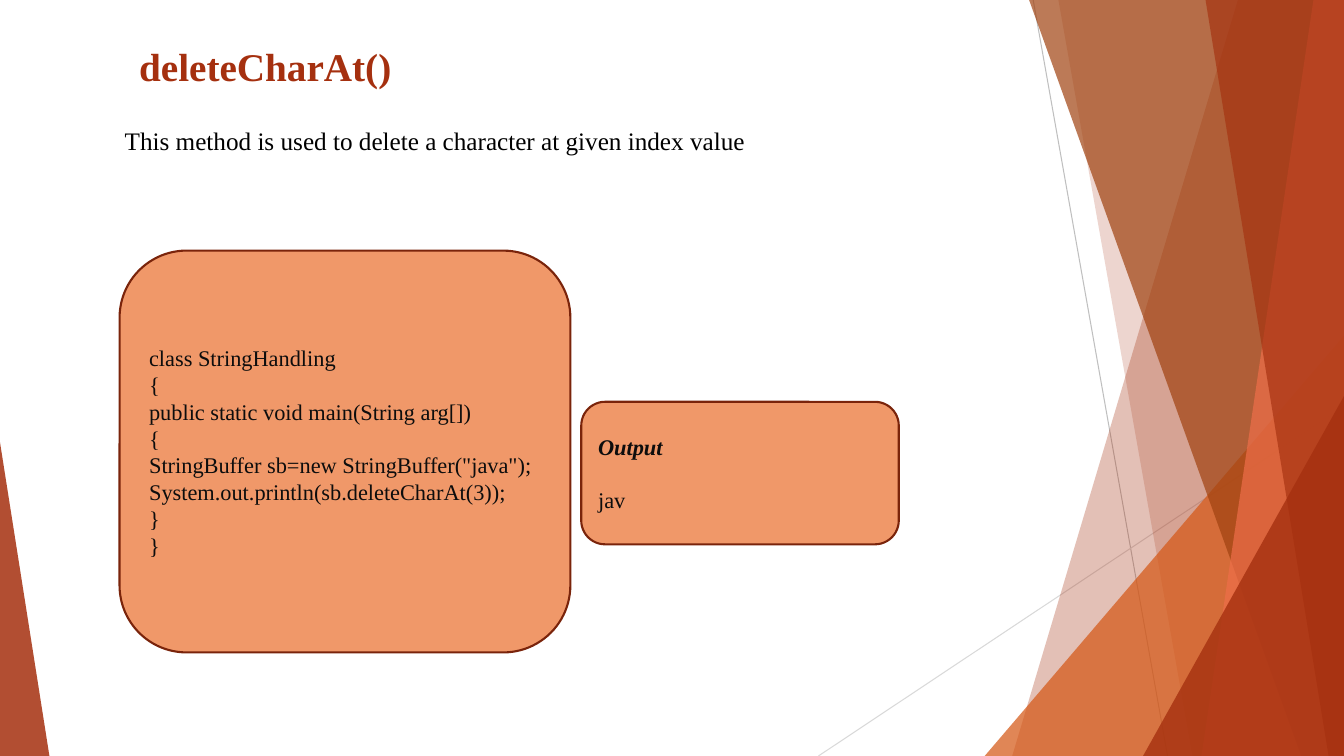
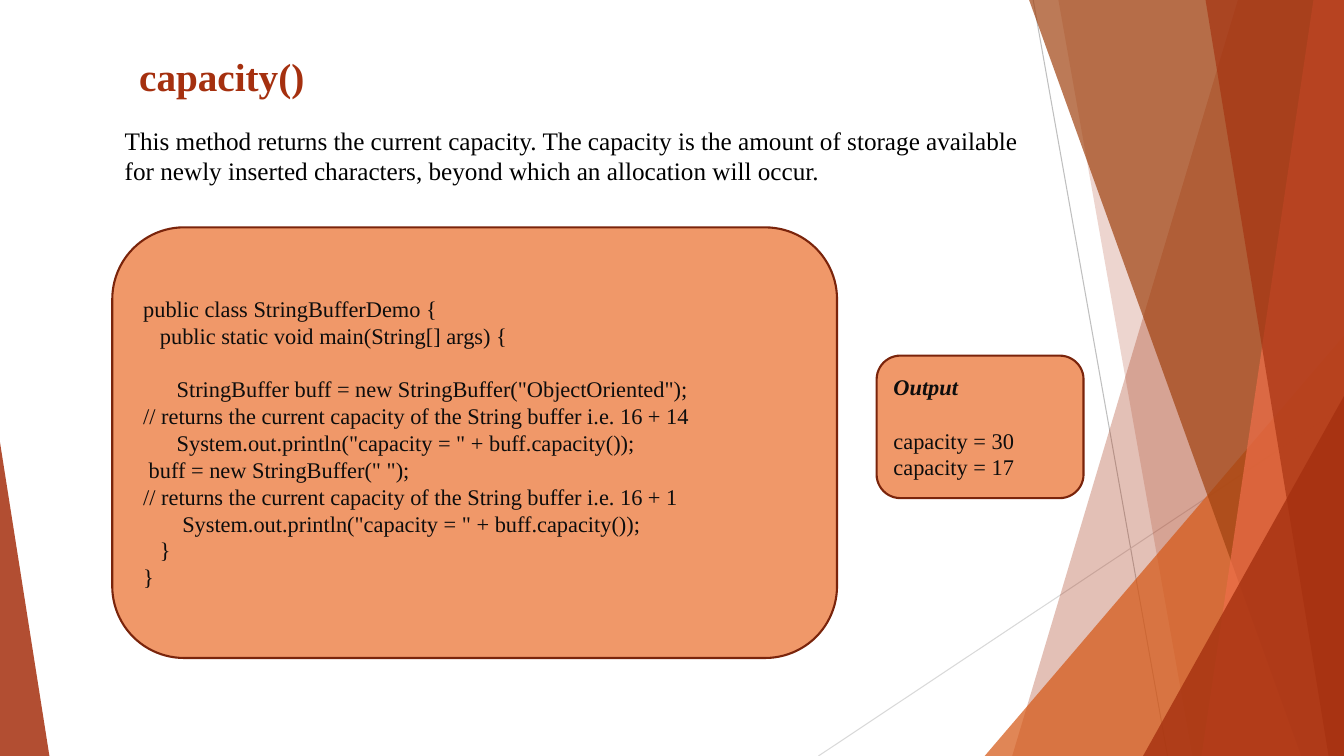
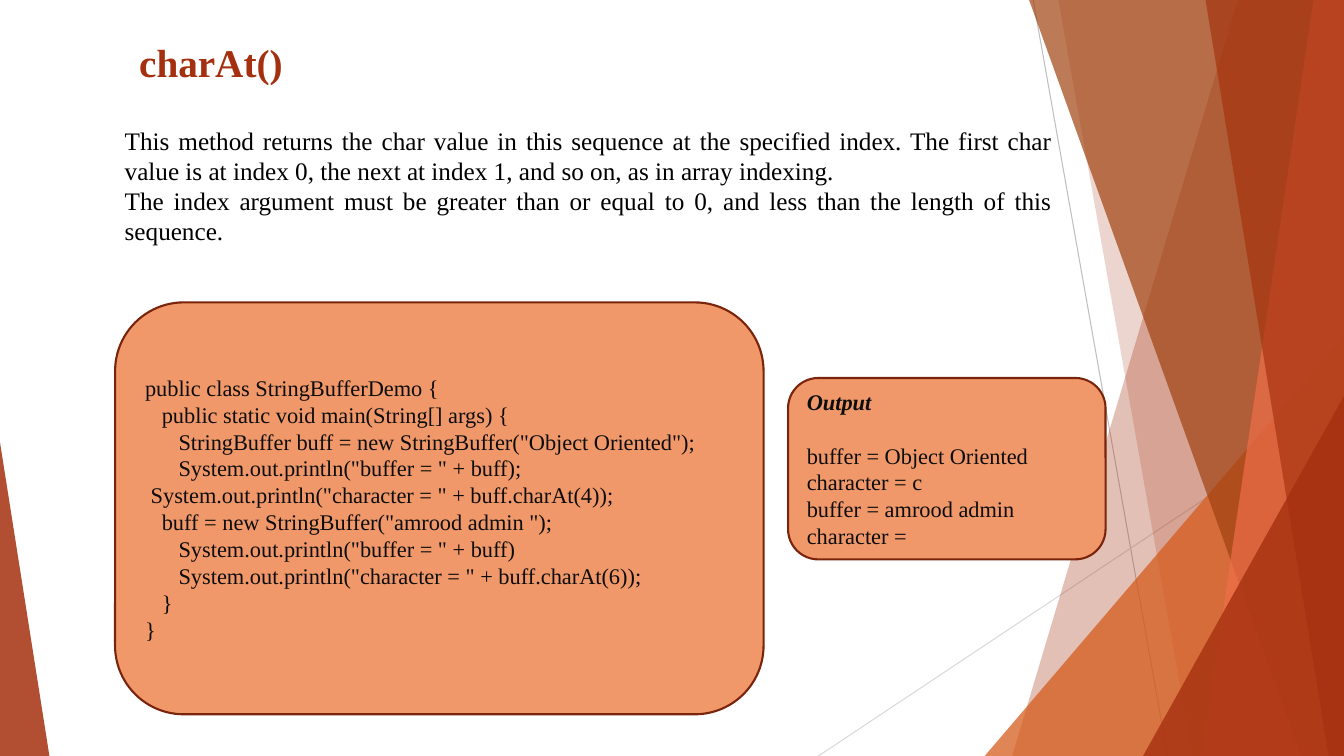
"""Build three slides about Java StringBuffer methods."""
import pptx
import pptx.dml.color
import pptx.enum.shapes
import pptx.enum.text
import pptx.oxml
import pptx.oxml.ns
import pptx.util
from lxml import etree

Pt = pptx.util.Pt
Shape = pptx.enum.shapes.MSO_SHAPE
Align = pptx.enum.text.PP_ALIGN
Anchor = pptx.enum.text.MSO_ANCHOR
AutoSize = pptx.enum.text.MSO_AUTO_SIZE
rgb = pptx.dml.color.RGBColor.from_string

FONT = "Times New Roman"
RUST = "A5300F"
WIDTH, HEIGHT = 960, 540
CODE_LINE = 19


def write(box, text, size=16, color="0D0D0D", bold=False, heading=False, align=Align.LEFT):
    """Write one paragraph per line; an empty line becomes space before the next."""
    frame = box.text_frame
    frame.word_wrap = True
    para, gap = frame.paragraphs[0], 0
    for number, line in enumerate(text.split("\n")):
        if not line:
            gap = CODE_LINE
            continue
        if number:
            para = frame.add_paragraph()
        para.alignment = align
        para.space_before = Pt(gap)
        gap = 0
        span = para.add_run()
        span.text = line
        span.font.name = FONT
        span.font.size = Pt(size)
        span.font.color.rgb = rgb(color)
        span.font.bold = bold or (heading and number == 0)
        span.font.italic = heading and number == 0


def paint(shape, color, opacity=100):
    """Give a shape a flat fill with the given opacity in percent."""
    shape.shadow.inherit = False
    shape.fill.solid()
    shape.fill.fore_color.rgb = rgb(color)
    if opacity < 100:
        fill = shape.element.spPr.find(pptx.oxml.ns.qn("a:solidFill"))
        etree.SubElement(fill[0], pptx.oxml.ns.qn("a:alpha"), val=str(opacity * 1000))


deck = pptx.Presentation()
deck.slide_width, deck.slide_height = Pt(WIDTH), Pt(HEIGHT)
layout = deck.slide_layouts[5]
for holder in list(layout.placeholders):
    if holder.placeholder_format.type != pptx.enum.shapes.PP_PLACEHOLDER.TITLE:
        layout.shapes.element.remove(holder.element)

lessons = [
    {
        "title": "deleteCharAt()",
        "title_top": 26.6,
        "title_height": 47.5,
        "about": "This method is used to delete a character at given index value",
        "about_height": 30,
        "align": Align.LEFT,
        "code_at": (85.4, 179, 322, 287),
        "code": """class StringHandling
{
public static void main(String arg[])
{
StringBuffer sb=new StringBuffer("java");
System.out.println(sb.deleteCharAt(3));
}
}""",
        "output_at": (415.2, 287, 226.8, 101.8),
        "output": "jav",
    },
    {
        "title": "capacity()",
        "title_top": 33.8,
        "title_height": 31,
        "about": "This method returns the current capacity. The capacity is the amount of storage "
                 "available for newly inserted characters, beyond which an allocation will occur.",
        "about_height": 52,
        "align": Align.LEFT,
        "code_at": (80.2, 162.4, 517.7, 307.6),
        "code": """public class StringBufferDemo {
   public static void main(String[] args) {

      StringBuffer buff = new StringBuffer("ObjectOriented");
// returns the current capacity of the String buffer i.e. 16 + 14
      System.out.println("capacity = " + buff.capacity());
 buff = new StringBuffer(" ");
// returns the current capacity of the String buffer i.e. 16 + 1
       System.out.println("capacity = " + buff.capacity());
   }
}""",
        "output_at": (626.2, 254, 147.8, 101.8),
        "output": "capacity = 30\ncapacity = 17",
    },
    {
        "title": "charAt()",
        "title_top": 23.8,
        "title_height": 54,
        "about": "This method returns the char value in this sequence at the specified index. "
                 "The first char value is at index 0, the next at index 1, and so on, "
                 "as in array indexing.\n"
                 "The index argument must be greater than or equal to 0, "
                 "and less than the length of this sequence.",
        "about_height": 96,
        "align": Align.JUSTIFY,
        "code_at": (82.2, 216, 463.2, 294.2),
        "code": """public class StringBufferDemo {
   public static void main(String[] args) {
      StringBuffer buff = new StringBuffer("Object Oriented");
      System.out.println("buffer = " + buff);
 System.out.println("character = " + buff.charAt(4));
   buff = new StringBuffer("amrood admin ");
      System.out.println("buffer = " + buff)
      System.out.println("character = " + buff.charAt(6));
   }
}""",
        "output_at": (562.9, 270, 226.8, 129.6),
        "output": "buffer = Object Oriented\ncharacter = c\nbuffer = amrood admin\ncharacter =",
    },
]

pages = [deck.slides.add_slide(layout) for lesson in lessons]

shapes = pages[0].shapes
decor = []
for start_x, start_y, end_x, end_y, color in [
    (738, 0, 834, HEIGHT, "BFBFBF"),
    (WIDTH, 290.2, 584.6, HEIGHT, "D9D9D9"),
]:
    line = shapes.add_connector(
        pptx.enum.shapes.MSO_CONNECTOR.STRAIGHT, Pt(start_x), Pt(start_y), Pt(end_x), Pt(end_y))
    line.line.color.rgb = rgb(color)
    line.line.width = Pt(0.75)
    etree.SubElement(line.element.spPr, pptx.oxml.ns.qn("a:effectLst"))
    decor.append(line)

for kind, place, color, opacity in [
    ("band", (884.2, 723), RUST, 30),
    ("band", (756, 851.8), RUST, 20),
    ("triangle", (703.4, 239.8, 256.6, 1), "D55816", 72),
    ("band", (735.1, 929.5), "A04210", 70),
    ("band", (938.2, 858.2), "EE6E4A", 70),
    ("band", (861.1, 949), RUST, 65),
    ("triangle", (816.5, 283, 143.5, 1), RUST, 80),
    ("triangle", (0, 316, 35.3, 0), RUST, 85),
]:
    if kind == "band":
        top_x, bottom_x = place
        outline = shapes.build_freeform(Pt(top_x), Pt(0))
        outline.add_line_segments(
            [(Pt(WIDTH), Pt(0)), (Pt(WIDTH), Pt(HEIGHT)), (Pt(bottom_x), Pt(HEIGHT))], close=True)
        facet = outline.convert_to_shape()
    else:
        left, top, width, apex = place
        facet = shapes.add_shape(
            Shape.ISOSCELES_TRIANGLE, Pt(left), Pt(top), Pt(width), Pt(HEIGHT - top))
        facet.adjustments[0] = apex
    paint(facet, color, opacity)
    facet.line.fill.background()
    decor.append(facet)

for item in decor:
    layout.shapes.element.append(item.element)

for page, lesson in zip(pages, lessons):
    title = page.shapes.title
    title.left, title.top = Pt(92.2), Pt(lesson["title_top"])
    title.width, title.height = Pt(534.2), Pt(lesson["title_height"])
    title.text_frame.vertical_anchor = Anchor.TOP
    title.text_frame.auto_size = AutoSize.NONE
    write(title, lesson["title"], size=28, color=RUST, bold=True)

    about = page.shapes.add_textbox(Pt(82), Pt(85.7), Pt(676.8), Pt(lesson["about_height"]))
    about.text_frame.auto_size = AutoSize.SHAPE_TO_FIT_TEXT
    write(about, lesson["about"], size=18, color="000000", align=lesson["align"])

    for place, text, heading in [
        (lesson["code_at"], lesson["code"], False),
        (lesson["output_at"], "Output\n\n" + lesson["output"], True),
    ]:
        panel = page.shapes.add_shape(Shape.ROUNDED_RECTANGLE, *[Pt(length) for length in place])
        paint(panel, "F09869")
        panel.line.color.rgb = rgb("7A240B")
        panel.line.width = Pt(1.5)
        panel.text_frame.vertical_anchor = Anchor.MIDDLE
        write(panel, text, heading=heading)

deck.save("out.pptx")
